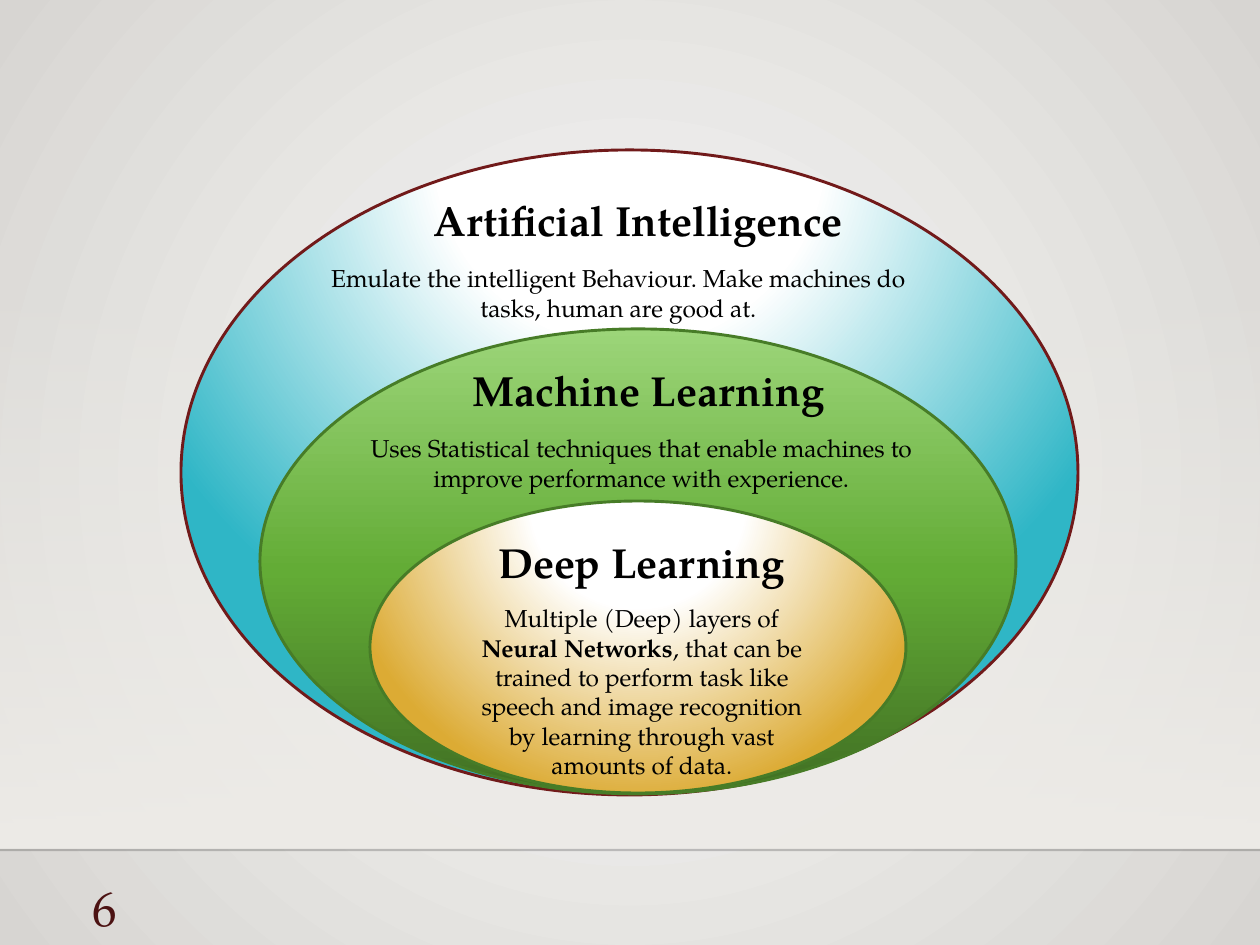
from dataclasses import dataclass

from lxml.etree import SubElement
from pptx import Presentation
from pptx.dml.color import RGBColor
from pptx.enum.shapes import MSO_CONNECTOR, MSO_SHAPE
from pptx.enum.text import MSO_AUTO_SIZE, PP_ALIGN
from pptx.oxml.ns import qn
from pptx.util import Emu, Pt

PX_PER_INCH = 168
WIDTH, HEIGHT = 1260, 945


@dataclass(frozen=True)
class Theme:
    font: str = "TeX Gyre Pagella"
    heading_size: float = 18
    body_size: float = 10.5
    number_size: float = 21
    outline_width: float = 1.25
    rule_width: float = 1
    text: str = "000000"
    number: str = "4C1212"
    rule: str = "000001"
    rule_opacity: int = 20
    background: tuple = ((0, "FAFAF9", 100), (100, "D7D5D2", 100))
    veil: tuple = ((0, "EDEBE7", 0), (100, "EDEBE7", 100))
    blue: tuple = ((0, "FFFFFF", 100), (35, "FFFFFF", 100), (100, "2FB6C6", 100))
    green: tuple = ((0, "406F23", 100), (48, "63AC36", 100), (100, "9CD579", 100))
    gold: tuple = ((0, "FFFFFF", 100), (35, "FFFFFF", 100), (100, "DCAB34", 100))
    red_outline: str = "711A1A"
    green_outline: str = "477C27"


@dataclass(frozen=True)
class Box:
    left: int
    top: int
    width: int
    height: int

    def inside(self, left, top, width, height):
        return Box(self.left + left, self.top + top, width, height)

    def emu(self):
        return [px(n) for n in (self.left, self.top, self.width, self.height)]


THEME = Theme()
CENTRE = (50, 50, 50, 50)
ABOVE = (50, -80, 50, 180)


def px(length):
    return Emu(round(length * 914400 / PX_PER_INCH))


def add_alpha(colour, opacity):
    if opacity < 100:
        SubElement(colour, qn("a:alpha"), val=str(opacity * 1000))


def paint_gradient(fill, owner, stops, angle=None, focus=None):
    fill.gradient()
    gradient = owner.find(".//" + qn("a:gradFill"))
    for child in list(gradient):
        gradient.remove(child)
    stop_list = SubElement(gradient, qn("a:gsLst"))
    for position, colour, opacity in stops:
        stop = SubElement(stop_list, qn("a:gs"), pos=str(position * 1000))
        add_alpha(SubElement(stop, qn("a:srgbClr"), val=colour), opacity)
    if focus is None:
        SubElement(gradient, qn("a:lin"), ang=str(angle * 60000), scaled="0")
    else:
        circle = SubElement(gradient, qn("a:path"), {"path": "circle"})
        edges = {edge: str(value * 1000) for edge, value in zip("ltrb", focus)}
        SubElement(circle, qn("a:fillToRect"), edges)


def add_gradient_shape(slide, kind, box, stops, outline=None, **direction):
    shape = slide.shapes.add_shape(kind, *box.emu())
    shape.shadow.inherit = False
    paint_gradient(shape.fill, shape.element, stops, **direction)
    if outline:
        shape.line.color.rgb = RGBColor.from_string(outline)
        shape.line.width = Pt(THEME.outline_width)
    else:
        shape.line.fill.background()


def add_text(slide, box, runs, size, colour=THEME.text, align=PP_ALIGN.CENTER):
    text_frame = slide.shapes.add_textbox(*box.emu()).text_frame
    text_frame.word_wrap = True
    text_frame.auto_size = MSO_AUTO_SIZE.SHAPE_TO_FIT_TEXT
    paragraph = text_frame.paragraphs[0]
    paragraph.alignment = align
    for text, bold in runs:
        run = paragraph.add_run()
        run.text = text
        run.font.name = THEME.font
        run.font.size = Pt(size)
        run.font.bold = bold
        run.font.color.rgb = RGBColor.from_string(colour)


def add_backdrop(slide, box):
    paint_gradient(slide.background.fill, slide.element, THEME.background, focus=CENTRE)
    veil = box.inside(0, 277, box.width, 572)
    add_gradient_shape(slide, MSO_SHAPE.RECTANGLE, veil, THEME.veil, angle=90)
    rule_top = px(box.top + 850)
    rule = slide.shapes.add_connector(
        MSO_CONNECTOR.STRAIGHT, px(box.left), rule_top, px(box.left + box.width), rule_top
    )
    rule.line.color.rgb = RGBColor.from_string(THEME.rule)
    rule.line.width = Pt(THEME.rule_width)
    add_alpha(rule.element.find(".//" + qn("a:srgbClr")), THEME.rule_opacity)
    SubElement(rule.element.spPr, qn("a:effectLst"))


def add_slide_number(slide, box, number):
    add_text(slide, box, [(number, False)], THEME.number_size, THEME.number, PP_ALIGN.RIGHT)


def add_field(slide, box, stops, outline, direction, heading, heading_at, body, body_at,
              align=PP_ALIGN.CENTER):
    add_gradient_shape(slide, MSO_SHAPE.OVAL, box, stops, outline, **direction)
    add_text(slide, box.inside(*heading_at), [(heading, True)], THEME.heading_size, align=align)
    add_text(slide, box.inside(*body_at), body, THEME.body_size)


def add_nested_fields(slide, box):
    add_field(
        slide, box, THEME.blue, THEME.red_outline, {"focus": ABOVE},
        "Artificial Intelligence", (236, 36, 465, 67),
        [("Emulate the intelligent Behaviour. Make machines do tasks, human are good at.", False)],
        (103, 105, 669, 76), PP_ALIGN.LEFT,
    )
    add_field(
        slide, box.inside(79, 179, 756, 465), THEME.green, THEME.green_outline, {"angle": 270},
        "Machine Learning", (180, 27, 417, 67),
        [("Uses Statistical techniques that enable machines to improve performance "
          "with experience.", False)],
        (47, 96, 669, 76),
    )
    add_field(
        slide, box.inside(189, 351, 536, 292), THEME.gold, THEME.green_outline, {"focus": ABOVE},
        "Deep Learning", (63, 27, 417, 67),
        [("Multiple (Deep) layers of ", False), ("Neural Networks", True),
         (", that can be trained to perform task like speech and image recognition "
          "by learning through vast amounts of data.", False)],
        (95, 94, 354, 225),
    )


def main():
    presentation = Presentation()
    presentation.slide_width = px(WIDTH)
    presentation.slide_height = px(HEIGHT)
    slide = presentation.slides.add_slide(presentation.slide_layouts[6])
    add_backdrop(slide, Box(0, 0, WIDTH, HEIGHT))
    add_slide_number(slide, Box(25, 869, 109, 69), "6")
    add_nested_fields(slide, Box(181, 150, 897, 645))
    presentation.save("out.pptx")


if __name__ == "__main__":
    main()
